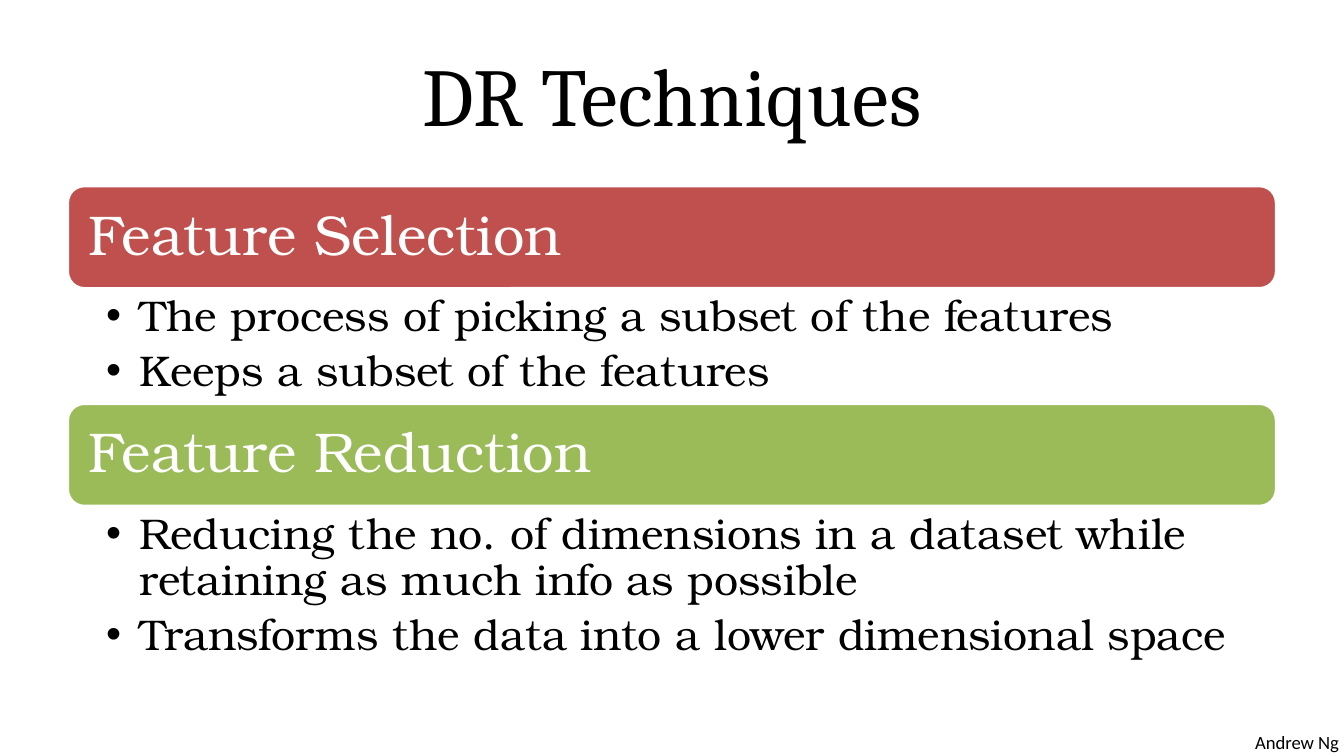
from lxml.etree import SubElement
from pptx import Presentation
from pptx.dml.color import RGBColor
from pptx.enum.shapes import MSO_SHAPE
from pptx.enum.text import MSO_ANCHOR, MSO_AUTO_SIZE, PP_ALIGN
from pptx.oxml.ns import qn
from pptx.util import Inches, Pt

HUES = {"red": "C0504D", "green": "9BBB59", "white": "FFFFFF", "black": "000000"}
SERIF = "TeX Gyre Bonum"
BAR = 0.77


def hue(name):
    return RGBColor.from_string(HUES[name])


def apply(item, form):
    for key, value in form.items():
        setattr(item, key, value)


def place(shape, box):
    keys = ("left", "top", "width", "height")
    apply(shape, dict(zip(keys, map(Inches, box))))


def write(para, text, face, size, tint="black"):
    run = para.add_run()
    run.text = text
    apply(run.font, {"name": face, "size": Pt(size)})
    run.font.color.rgb = hue(tint)


def add_title(slide, box, text):
    title = slide.shapes.title
    place(title, box)
    frame = title.text_frame
    apply(frame, {"vertical_anchor": MSO_ANCHOR.MIDDLE, "auto_size": MSO_AUTO_SIZE.NONE})
    para = frame.paragraphs[0]
    para.alignment = PP_ALIGN.CENTER
    write(para, text, "Cambria", 44)


def add_bar(slide, box, text, tint):
    bar = slide.shapes.add_shape(MSO_SHAPE.ROUNDED_RECTANGLE, *map(Inches, box))
    bar.shadow.inherit = False
    bar.fill.solid()
    bar.fill.fore_color.rgb = hue(tint)
    bar.line.color.rgb = hue("white")
    bar.line.width = Pt(2)
    frame = bar.text_frame
    apply(frame, {
        "word_wrap": True,
        "vertical_anchor": MSO_ANCHOR.MIDDLE,
        "margin_left": Inches(0.12),
        "margin_right": Inches(0.12),
    })
    para = frame.paragraphs[0]
    apply(para, {"alignment": PP_ALIGN.LEFT, "line_spacing": 0.9})
    write(para, text, SERIF, 30, "white")


def add_list(holder, box, lines):
    place(holder, box)
    frame = holder.text_frame
    apply(frame, {
        "word_wrap": True,
        "auto_size": MSO_AUTO_SIZE.NONE,
        "vertical_anchor": MSO_ANCHOR.TOP,
        "margin_left": Inches(0.29),
        "margin_right": Inches(0.23),
        "margin_top": Inches(0.04),
        "margin_bottom": Inches(0.04),
    })
    for i, line in enumerate(lines):
        para = frame.add_paragraph() if i else frame.paragraphs[0]
        apply(para, {
            "level": 1,
            "alignment": PP_ALIGN.LEFT,
            "line_spacing": 0.9,
            "space_before": Pt(0),
            "space_after": Pt(4.5),
        })
        props = para._p.get_or_add_pPr()
        props.set("marL", str(Inches(0.25)))
        props.set("indent", str(-Inches(0.25)))
        SubElement(props, qn("a:buFont"), typeface="Arial")
        SubElement(props, qn("a:buChar"), char="•")
        write(para, line, SERIF, 23)


def add_topic(slide, holder, box, head, tint, lines):
    left, top, width, height = box
    add_bar(slide, (left, top, width, BAR), head, tint)
    add_list(holder, (left, top + BAR, width, height - BAR), lines)


def add_credit(slide, box, text):
    note = slide.shapes.add_textbox(*map(Inches, box))
    note.text_frame.word_wrap = False
    write(note.text_frame.paragraphs[0], text, "Calibri", 10)


def main():
    deck = Presentation()
    wide = Inches(10)
    apply(deck, {"slide_width": wide, "slide_height": wide * 9 // 16})
    slide = deck.slides.add_slide(deck.slide_layouts[3])
    add_credit(slide, (9.24, 5.39, 0.84, 0.27), "Andrew Ng")
    topics = [
        ("Feature Selection", "red", 1.62, [
            "The process of picking a subset of the features",
            "Keeps a subset of the features",
        ]),
        ("Feature Reduction", "green", 1.96, [
            "Reducing the no. of dimensions in a dataset while retaining as much info as possible",
            "Transforms the data into a lower dimensional space",
        ]),
    ]
    top = 1.38
    for spot, (head, tint, height, lines) in enumerate(topics, 1):
        holder = slide.placeholders[spot]
        add_topic(slide, holder, (0.5, top, 9, height), head, tint, lines)
        top += height
    add_title(slide, (0.5, 0.23, 9, 0.94), "DR Techniques")
    deck.save("out.pptx")


if __name__ == "__main__":
    main()
